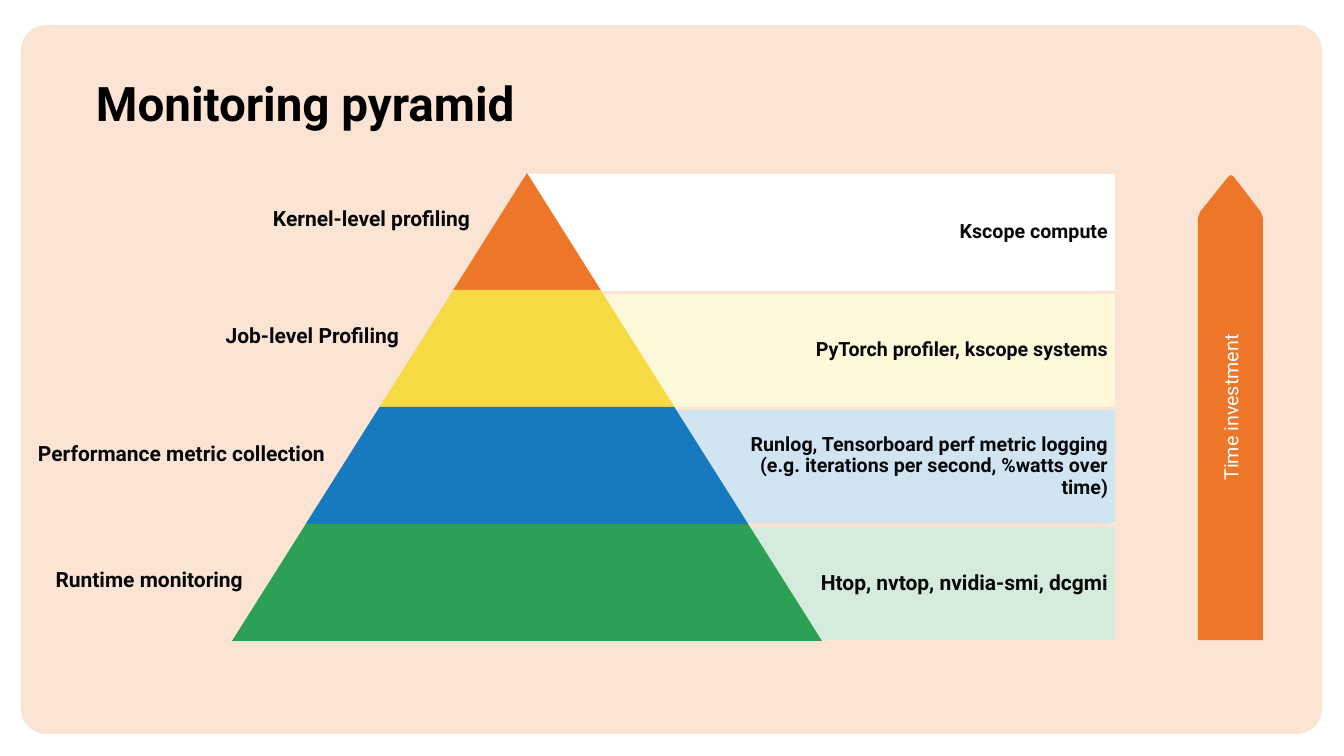
from pptx import Presentation
from pptx import util as u
from pptx.dml.color import RGBColor
from pptx.enum import shapes, text

PX = 914400 / 100.8
INK = "070809"
ORANGE = "EE7628"


def px(n):
    return u.Emu(round(n * PX))


def paint(sp, color):
    """Give a shape a plain fill with no line and no shadow."""
    sp.shadow.inherit = False
    sp.fill.solid()
    sp.fill.fore_color.rgb = RGBColor.from_string(color)
    sp.line.fill.background()


prs = Presentation()
prs.slide_width, prs.slide_height = px(1344), px(756)
s = prs.slides.add_slide(prs.slide_layouts[6])

panel = s.shapes.add_shape(shapes.MSO_SHAPE.ROUNDED_RECTANGLE, px(21), px(25), px(1301), px(709))
panel.adjustments[0] = 0.036
paint(panel, "FCE4D4")

# Bands behind the pyramid: top, height, colour
bands = [
    (174, 117, "FFFFFF"),
    (294, 113, "FDF8DA"),
    (410, 113, "D1E4F2"),
    (527, 113, "D5ECDD"),
]
for top, height, color in bands:
    band = s.shapes.add_shape(shapes.MSO_SHAPE.RECTANGLE, px(524), px(top), px(591), px(height))
    paint(band, color)

# Pyramid levels, from the tip down
APEX, TIP, LEVEL, BASE = 527, 173, 117, 590
for i, color in enumerate([ORANGE, "F6DA44", "177ABF", "2CA055"]):
    width = BASE * (i + 1) / 4
    level = s.shapes.add_shape(shapes.MSO_SHAPE.TRAPEZOID, px(APEX - width / 2),
                               px(TIP + LEVEL * i), px(width), px(LEVEL))
    level.adjustments[0] = 0.631
    paint(level, color)

# Text boxes: left, top, width, height, inset, size, alignment, anchor, colour, words
LEFT, RIGHT = text.PP_ALIGN.LEFT, text.PP_ALIGN.RIGHT
TOP, MIDDLE = text.MSO_ANCHOR.TOP, text.MSO_ANCHOR.MIDDLE
boxes = [(96, 80, 1169, 37, 0, 34, LEFT, TOP, "000000", "Monitoring pyramid")]
for left, top, width, words in [
    (257, 159, 216, "Kernel-level profiling"),
    (66, 276, 336, "Job-level Profiling"),
    (15, 394, 313, "Performance metric collection"),
    (47, 520, 199, "Runtime monitoring"),
]:
    boxes.append((left, top, width, 121, 3, 15, RIGHT, MIDDLE, INK, words))
tools = [
    (616, 14, "Kscope compute"),
    (689, 14, "PyTorch profiler, kscope systems"),
    (704, 14, "Runlog, Tensorboard perf metric logging\n(e.g. iterations per second, %watts over time)"),
    (795, 15, "Htop, nvtop, nvidia-smi, dcgmi"),
]
for (top, height, _), (left, size, words) in zip(bands, tools):
    boxes.append((left, top, 1115 - left, height, 7, size, RIGHT, MIDDLE, INK, words))

for left, top, width, height, inset, size, align, anchor, color, words in boxes:
    tf = s.shapes.add_textbox(px(left), px(top), px(width), px(height)).text_frame
    tf.word_wrap = True
    tf.vertical_anchor = anchor
    tf.margin_left = tf.margin_right = tf.margin_top = tf.margin_bottom = px(inset)
    p = tf.paragraphs[0]
    p.text = words
    p.alignment = align
    p.line_spacing = 0.9
    p.font.name, p.font.size, p.font.bold = "Roboto", u.Pt(size), True
    p.font.color.rgb = RGBColor.from_string(color)

# Upward arrow with softened corners
outline = [(1234, 177), (1261, 212), (1263, 218), (1263, 640),
           (1198, 640), (1198, 218), (1200, 212), (1228, 177)]
builder = s.shapes.build_freeform(1231, 175, scale=PX)
builder.add_line_segments(outline, close=True)
arrow = builder.convert_to_shape()
paint(arrow, ORANGE)
tf = arrow.text_frame
tf.word_wrap = True
tf.vertical_anchor = MIDDLE
tf._txBody.bodyPr.set("vert", "vert270")
p = tf.paragraphs[0]
p.text = "Time investment"
p.alignment = text.PP_ALIGN.CENTER
p.font.name, p.font.size = "Roboto", u.Pt(14)
p.font.color.rgb = RGBColor.from_string("FFFFFF")

prs.save("out.pptx")
